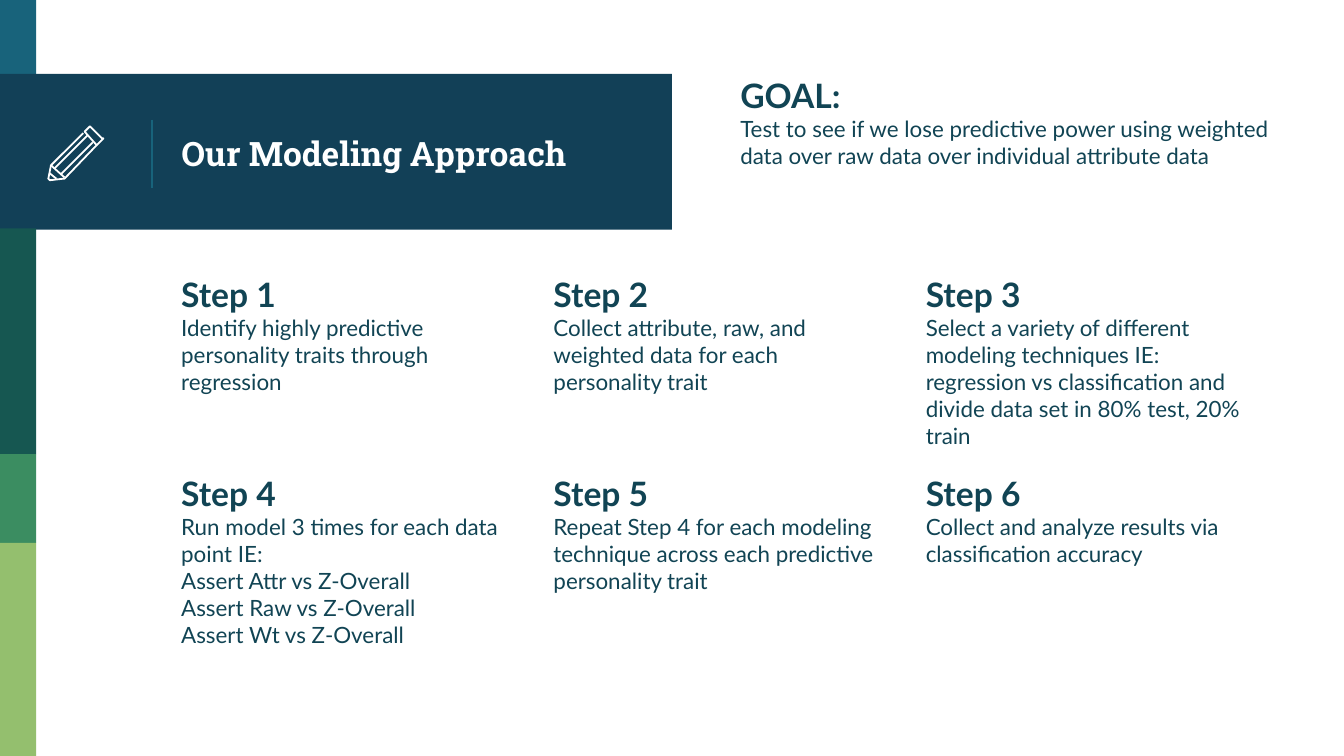
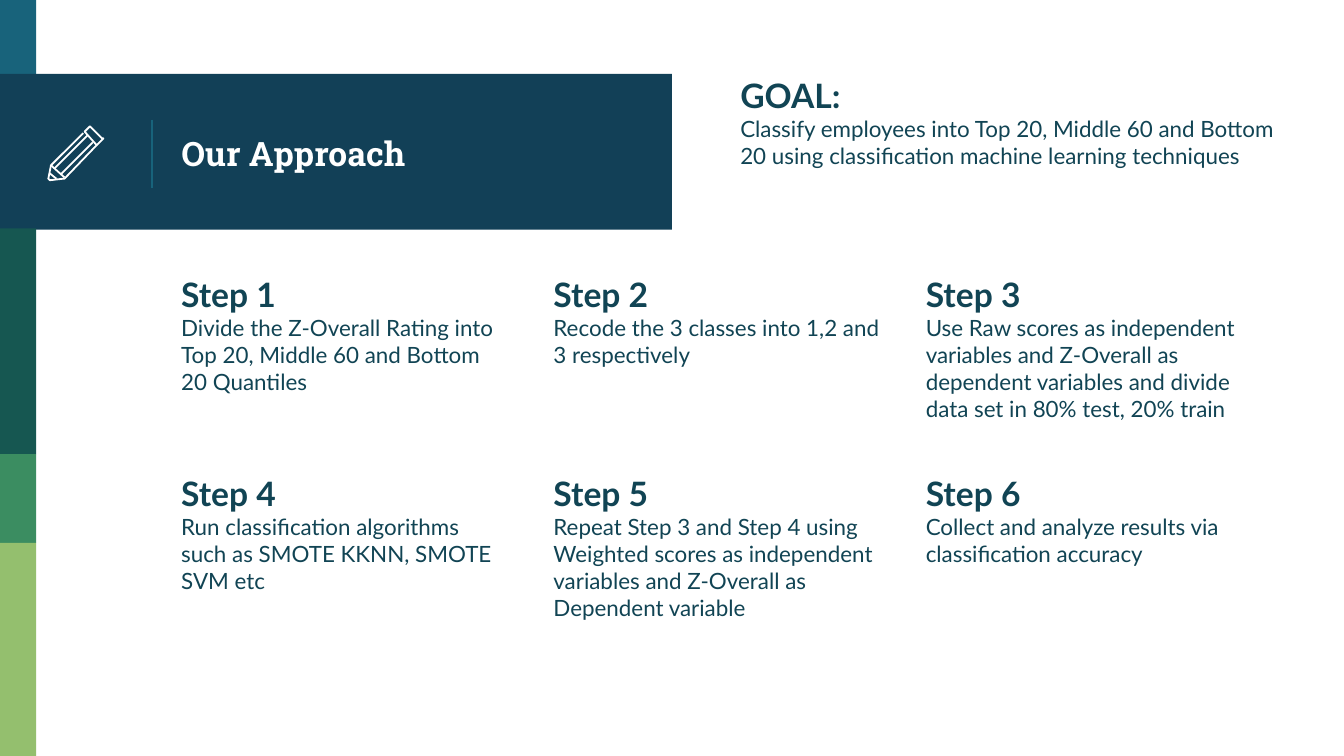
"""Build two slides that lay out a goal and six steps beside a coloured side band."""
from lxml.etree import SubElement
from pptx import Presentation
from pptx.dml.color import RGBColor
from pptx.enum.shapes import MSO_CONNECTOR, MSO_SHAPE
from pptx.enum.text import MSO_ANCHOR, MSO_AUTO_SIZE, PP_ALIGN
from pptx.oxml.ns import qn
from pptx.util import Inches, Pt

WHITE = RGBColor(0xFF, 0xFF, 0xFF)
TEAL = RGBColor(0x18, 0x63, 0x7B)
NAVY = RGBColor(0x12, 0x40, 0x57)
PINE = RGBColor(0x16, 0x57, 0x51)
GREEN = RGBColor(0x3B, 0x8D, 0x61)
LIME = RGBColor(0x94, 0xBF, 0x6E)
INK = RGBColor(0x11, 0x44, 0x54)

TITLE_FONT = "Roboto Slab"
BODY_FONT = "Lato"

SIDE = 0.27
BANDS = [
    (0, 0.58, SIDE, TEAL),
    (0.55, 1.16, 5, NAVY),
    (1.7, 1.68, SIDE, PINE),
    (3.38, 0.66, SIDE, GREEN),
    (4.04, 1.59, SIDE, LIME),
]

LEFT, TOP = 1.25, 1.94
COLUMNS = 3
COLUMN_STEP, ROW_STEP = 2.77, 1.48
STEP_WIDTH, BOX_HEIGHT = 2.64, 1.43

PENCIL_UNIT = Inches(0.01)
PENCIL_STROKES = [
    ([(76, 103), (68, 95), (67, 94), (66, 95), (63, 98), (72, 108), (76, 104), (77, 103)], True),
    ([(69, 106), (45, 130)], False),
    ([(62, 99), (38, 123), (36, 133), (37, 134), (38, 134), (47, 133), (48, 133), (72, 108)], False),
    ([(41, 125), (65, 101)], False),
    ([(42, 133), (37, 129)], False),
    ([(38, 123), (48, 132)], False),
]

SLIDES = [
    {
        "title": "Our Modeling Approach",
        "goal": "Test to see if we lose predictive power using weighted data over raw data "
                "over individual attribute data",
        "steps": [
            ["Identify highly predictive personality traits through regression"],
            ["Collect attribute, raw, and weighted data for each personality trait"],
            ["Select a variety of different modeling techniques IE: regression vs "
             "classification and divide data set in 80% test, 20% train"],
            ["Run model 3 times for each data point IE:", "Assert Attr vs Z-Overall",
             "Assert Raw vs Z-Overall", "Assert Wt vs Z-Overall"],
            ["Repeat Step 4 for each modeling technique across each predictive personality trait"],
            ["Collect and analyze results via classification accuracy"],
        ],
    },
    {
        "title": "Our Approach",
        "goal": "Classify employees into Top 20, Middle 60 and Bottom 20 using "
                "classification machine learning techniques",
        "steps": [
            ["Divide the Z-Overall Rating into Top 20, Middle 60 and Bottom 20 Quantiles"],
            ["Recode the 3 classes into 1,2 and 3 respectively"],
            ["Use Raw scores as independent variables and Z-Overall as dependent variables "
             "and divide data set in 80% test, 20% train"],
            ["Run classification algorithms such as SMOTE KKNN, SMOTE SVM etc"],
            ["Repeat Step 3 and Step 4 using Weighted scores as independent variables and "
             "Z-Overall as Dependent variable"],
            ["Collect and analyze results via classification accuracy"],
        ],
    },
]


def format_text(box, lines, font_name, colour, sizes):
    frame = box.text_frame
    frame.text = "\n".join(lines)
    frame.word_wrap = True
    frame.auto_size = MSO_AUTO_SIZE.NONE
    frame.margin_left = frame.margin_right = Inches(0.1)
    frame.margin_top = frame.margin_bottom = Inches(0.1)
    for index, para in enumerate(frame.paragraphs):
        para.alignment = PP_ALIGN.LEFT
        for span in para.runs:
            span.font.name = font_name
            span.font.size = Pt(sizes[min(index, 1)])
            span.font.bold = index == 0
            span.font.color.rgb = colour


def add_text_block(page, left, top, width, heading, lines):
    box = page.shapes.add_textbox(Inches(left), Inches(top), Inches(width), Inches(BOX_HEIGHT))
    format_text(box, [heading, *lines], BODY_FONT, INK, (18, 12))


deck = Presentation()
deck.slide_width = Inches(10)
deck.slide_height = deck.slide_width * 9 // 16
title_only = deck.slide_layouts[5]

for content in SLIDES:
    page = deck.slides.add_slide(title_only)

    for top, height, width, colour in BANDS:
        band = page.shapes.add_shape(
            MSO_SHAPE.RECTANGLE, 0, Inches(top), Inches(width), Inches(height))
        band.shadow.inherit = False
        band.fill.solid()
        band.fill.fore_color.rgb = colour
        band.line.fill.background()

    divider = page.shapes.add_connector(
        MSO_CONNECTOR.STRAIGHT, Inches(1.13), Inches(0.89), Inches(1.13), Inches(1.4))
    divider.line.color.rgb = TEAL
    divider.line.width = Pt(0.75)
    SubElement(divider.element.spPr, qn("a:effectLst"))

    title = page.shapes.title
    title.left, title.top = Inches(LEFT), Inches(0.58)
    title.width, title.height = Inches(3.51), Inches(1.12)
    format_text(title, [content["title"]], TITLE_FONT, WHITE, (18,))
    title.text_frame.vertical_anchor = MSO_ANCHOR.MIDDLE
    title.element.getparent().append(title.element)

    for index, lines in enumerate(content["steps"]):
        row, column = divmod(index, COLUMNS)
        add_text_block(page, LEFT + column * COLUMN_STEP, TOP + row * ROW_STEP,
                       STEP_WIDTH, f"Step {index + 1}", lines)

    pencil = page.shapes.add_group_shape()
    for points, closed in PENCIL_STROKES:
        builder = pencil.shapes.build_freeform(*points[0], scale=PENCIL_UNIT)
        builder.add_line_segments(points[1:], close=closed)
        stroke = builder.convert_to_shape()
        stroke.shadow.inherit = False
        stroke.fill.background()
        stroke.line.color.rgb = WHITE
        stroke.line.width = Pt(0.96)

    add_text_block(page, 5.41, 0.46, 4.23, "GOAL:", [content["goal"]])

deck.save("out.pptx")
